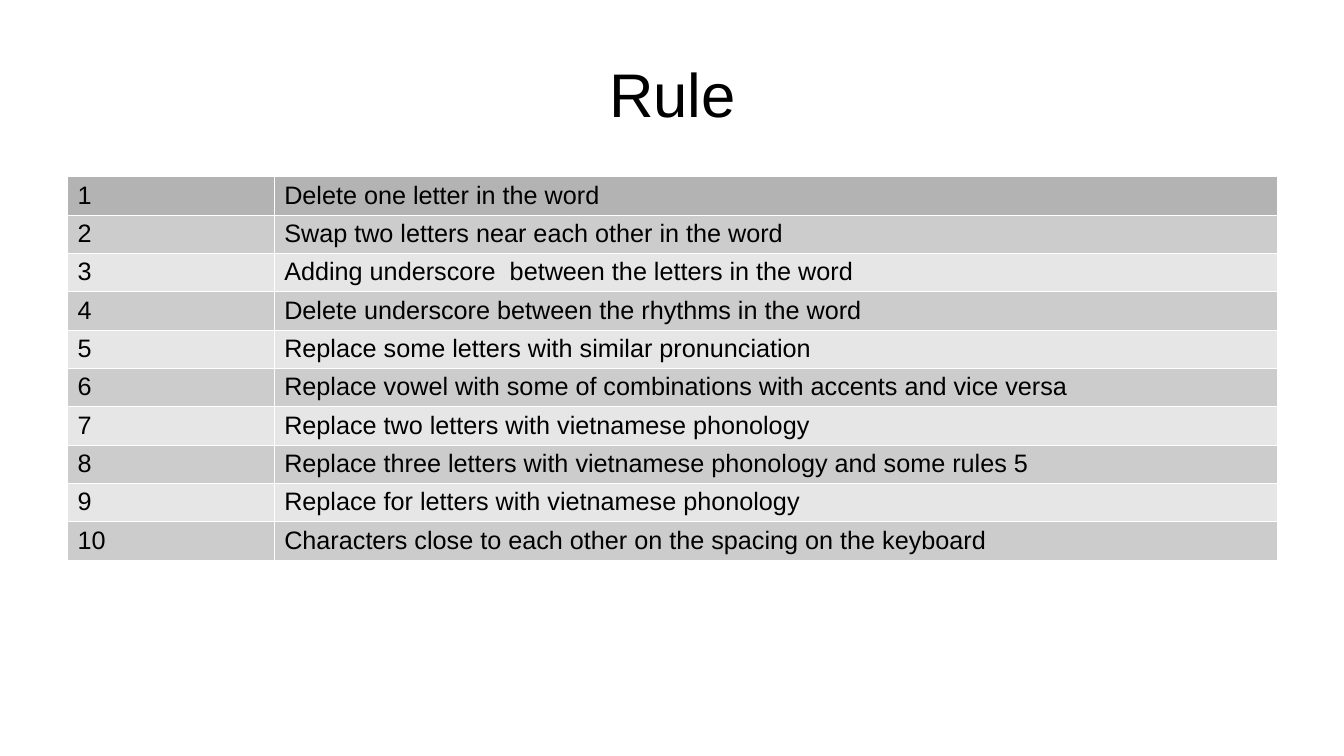
from typing import NamedTuple

from lxml.etree import SubElement
from pptx import Presentation
from pptx.dml.color import RGBColor
from pptx.enum.text import MSO_ANCHOR, MSO_AUTO_SIZE, PP_ALIGN
from pptx.oxml.ns import qn
from pptx.slide import Slide
from pptx.table import _Cell
from pptx.text.text import _Paragraph
from pptx.util import Inches, Pt

SLIDE_WIDTH, SLIDE_HEIGHT = Inches(13.33), Inches(7.5)
MARGIN = Inches(0.67)
CONTENT_WIDTH = Inches(12)
NUMBER_WIDTH = Inches(2.05)
ROW_HEIGHT = Inches(0.38)
FONT_NAME = "Arial"
TEXT_COLOR = "000000"
BORDER_COLOR = "FFFFFF"
BORDER_WIDTH = Pt(0.06)
FIRST_FILL = "B3B3B3"
BAND_FILLS = ("E6E6E6", "CCCCCC")


class Rule(NamedTuple):
    """A numbered rule and the fill of its table row."""

    number: int
    description: str

    @property
    def fill(self) -> str:
        """Return the first-row fill or the alternating band fill."""
        return FIRST_FILL if self.number == 1 else BAND_FILLS[self.number % 2 == 0]


DESCRIPTIONS = (
    "Delete one letter in the word",
    "Swap two letters near each other in the word",
    "Adding underscore  between the letters in the word",
    "Delete underscore between the rhythms in the word",
    "Replace some letters with similar pronunciation",
    "Replace vowel with some of combinations with accents and vice versa",
    "Replace two letters with vietnamese phonology",
    "Replace three letters with vietnamese phonology and some rules 5",
    "Replace for letters with vietnamese phonology",
    "Characters close to each other on the spacing on the keyboard",
)
RULES = [Rule(number, text) for number, text in enumerate(DESCRIPTIONS, start=1)]


def color(value: str) -> RGBColor:
    """Turn a hex string into a colour."""
    return RGBColor.from_string(value)


def format_paragraph(paragraph: _Paragraph, size: int) -> None:
    """Apply the slide's font at the given point size."""
    font = paragraph.font
    font.name, font.size, font.bold = FONT_NAME, Pt(size), False
    font.color.rgb = color(TEXT_COLOR)


def add_borders(cell: _Cell) -> None:
    """Draw thin lines on all four sides of a cell."""
    properties = cell._tc.get_or_add_tcPr()
    for position, side in enumerate(("lnL", "lnR", "lnT", "lnB")):
        line = properties.makeelement(qn(f"a:{side}"), {"w": str(BORDER_WIDTH)})
        fill = SubElement(line, qn("a:solidFill"))
        SubElement(fill, qn("a:srgbClr"), val=BORDER_COLOR)
        properties.insert(position, line)


def fill_cell(cell: _Cell, text: str, fill: str) -> None:
    """Write and format one table cell."""
    cell.text = text
    format_paragraph(cell.text_frame.paragraphs[0], 18)
    cell.fill.solid()
    cell.fill.fore_color.rgb = color(fill)
    add_borders(cell)


def add_title(slide: Slide, text: str) -> None:
    """Place the centred slide title."""
    title = slide.shapes.title
    title.left, title.top = MARGIN, Inches(0.3)
    title.width, title.height = CONTENT_WIDTH, Inches(1.25)
    frame = title.text_frame
    frame.text = text
    frame.auto_size = MSO_AUTO_SIZE.NONE
    frame.vertical_anchor = MSO_ANCHOR.MIDDLE
    frame.margin_left = frame.margin_right = frame.margin_top = frame.margin_bottom = 0
    paragraph = frame.paragraphs[0]
    paragraph.alignment = PP_ALIGN.CENTER
    format_paragraph(paragraph, 44)


def add_rule_table(slide: Slide, rules: list[Rule]) -> None:
    """Place the table with one row per rule."""
    table = slide.shapes.add_table(
        len(rules), 2, MARGIN, Inches(1.75), CONTENT_WIDTH, ROW_HEIGHT * len(rules)
    ).table
    table.first_row = table.horz_banding = False
    table.columns[0].width = NUMBER_WIDTH
    table.columns[1].width = CONTENT_WIDTH - NUMBER_WIDTH
    for row, rule in zip(table.rows, rules):
        row.height = ROW_HEIGHT
        for cell, text in zip(row.cells, (str(rule.number), rule.description)):
            fill_cell(cell, text, rule.fill)


def main() -> None:
    """Build and save the presentation."""
    presentation = Presentation()
    presentation.slide_width, presentation.slide_height = SLIDE_WIDTH, SLIDE_HEIGHT
    slide = presentation.slides.add_slide(presentation.slide_layouts.get_by_name("Title Only"))
    add_title(slide, "Rule")
    add_rule_table(slide, RULES)
    presentation.save("out.pptx")


main()
